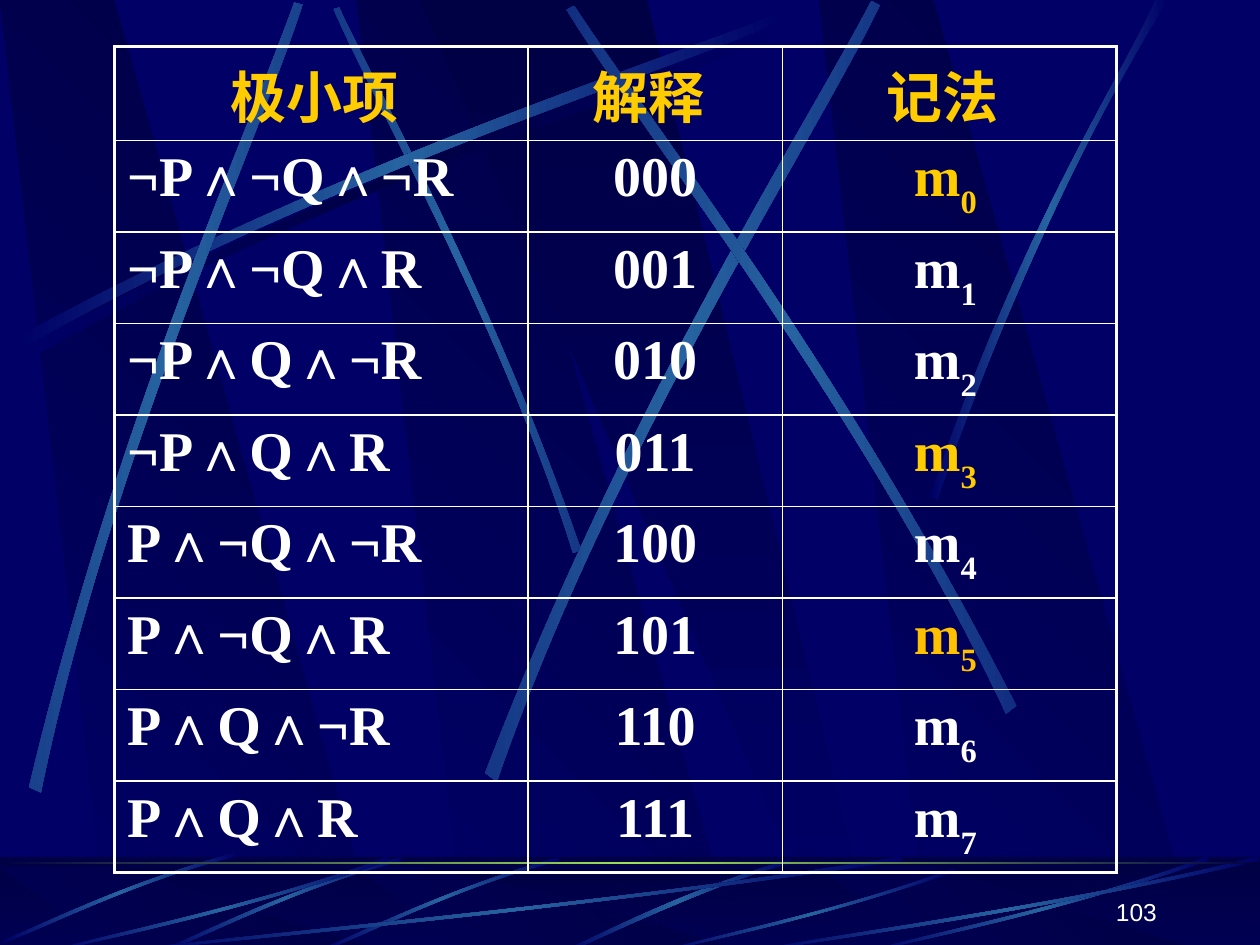
from lxml import etree
from pptx import Presentation
from pptx import util as u
from pptx.dml.color import RGBColor
from pptx.enum import shapes, text
from pptx.oxml import ns

COLORS = {
    "navy": "000066", "night": "000044", "beam": "2663A0", "horizon": "9CE157",
    "white": "FFFFFF", "gold": "FFCC00", "amber": "FFC000",
}
GRID = 2.54
CJK = "Noto Sans CJK SC"
SERIF = "Times New Roman"

BAND = [(28.5, 100), (100, 100), (30, 0), (0, 0)]
LIT_BAND = [(0, 0), (90, 100), (100, 100), (50, 0)]
ARC = [(0, 96.3), (43.4, 43.1), (82.9, 15.4), (99.5, 0),
       (100, 2.3), (83.4, 19.1), (38.3, 50), (0.5, 100)]
EDGE_ARC = [(0, 99.2), (40.2, 43.6), (79.4, 16.6), (94.7, 0),
            (100, 0), (51.9, 36.5), (16.4, 81.1), (3.2, 100)]
FLOOR_ARC = [(99.4, 0), (49.4, 37), (16.1, 82.2), (0, 98.6),
             (2.8, 100), (23.3, 76.7), (68.3, 24.7), (100, 4.1)]
RAY = [(100, 4), (56.6, 57.3), (17.2, 85.3), (0.5, 100),
       (0, 98.7), (16.5, 81.3), (61.6, 50.7), (99.5, 0)]

MINTERMS = ["¬P∧¬Q∧¬R", "¬P∧¬Q∧R", "¬P∧Q∧¬R", "¬P∧Q∧R",
            "P∧¬Q∧¬R", "P∧¬Q∧R", "P∧Q∧¬R", "P∧Q∧R"]
NOTATION_COLORS = {0: "gold", 3: "gold", 5: "amber"}


def size(units):
    return u.Cm(units * GRID)


def rgb(name):
    return RGBColor.from_string(COLORS[name])


def element(parent, tag, **attributes):
    return etree.SubElement(parent, ns.qn(tag), **attributes)


def paint_gradient(shape, names, angle):
    shape.shadow.inherit = False
    shape.line.fill.background()
    shape.fill.gradient()
    gradient = shape.element.spPr.find(ns.qn("a:gradFill"))
    gradient.set("rotWithShape", "0")
    for child in list(gradient):
        gradient.remove(child)
    stops = element(gradient, "a:gsLst")
    for index, name in enumerate(names):
        position = 100000 * index // (len(names) - 1)
        stop = element(stops, "a:gs", pos=str(position))
        element(stop, "a:srgbClr", val=COLORS[name])
    element(gradient, "a:lin", ang=str(angle * 60000), scaled="0")


def draw_outline(slide, points, box, names, angle):
    left, top, width, height = box
    corners = [(size(left + x * width / 100), size(top + y * height / 100))
               for x, y in points]
    builder = slide.shapes.build_freeform(*corners[0], scale=1.0)
    builder.add_line_segments(corners[1:], close=True)
    outline = builder.convert_to_shape()
    paint_gradient(outline, names, angle)
    return outline


def curve_sides(outline):
    lines = list(outline.element.iter(ns.qn("a:lnTo")))
    for side in (lines[:3], lines[4:7]):
        curve = etree.Element(ns.qn("a:cubicBezTo"))
        side[0].addprevious(curve)
        for line in side:
            curve.append(line[0])
            line.getparent().remove(line)


def draw_streak(slide, curve, box, rotation=0, mirrored=False, middle="beam"):
    points = [(100 - x, y) for x, y in curve] if mirrored else curve
    streak = draw_outline(slide, points, box, ["navy", middle, "navy"], 0)
    curve_sides(streak)
    streak.rotation = rotation


def draw_bands(slide, box):
    left, top, _, height = box
    for offset in (2.83, 0, 6.5):
        draw_outline(slide, BAND, (left + offset, top, 3.02, height), ["navy", "night"], 315)
    draw_outline(slide, LIT_BAND, (left + 3.33, top, 3.61, height), ["night", "navy"], 90)


def draw_sky(slide, box):
    draw_bands(slide, box)
    left, top = box[:2]
    streaks = [
        (ARC, (0.2, 0.18, 6.08, 2.67), 0, False, "night"),
        (ARC, (1.41, 1.35, 4.42, 1.75), 45, True, "beam"),
        (ARC, (0.14, 0.1, 6.08, 2.67), 0, False, "beam"),
        (ARC, (-1.71, 1.82, 6.08, 2.67), 311.7, False, "beam"),
        (ARC, (2.31, 1.6, 6.24, 3.01), 321.6, False, "beam"),
        (ARC, (3.23, 1.52, 6.08, 2.67), 34.7, True, "beam"),
        (EDGE_ARC, (7.38, 0, 1.89, 3.97), 0, False, "beam"),
    ]
    for curve, (x, y, width, height), rotation, mirrored, middle in streaks:
        draw_streak(slide, curve, (left + x, top + y, width, height),
                    rotation, mirrored, middle)


def add_bar(slide, box):
    bar = slide.shapes.add_shape(shapes.MSO_SHAPE.RECTANGLE, *map(size, box))
    bar.shadow.inherit = False
    bar.line.fill.background()
    return bar


def draw_floor(slide, box):
    left, top, width, height = box
    paint_gradient(add_bar(slide, box), ["night", "navy"], 90)
    draw_bands(slide, (left, top + 0.08, width, 0.66))
    veil = add_bar(slide, box)
    veil.fill.solid()
    veil.fill.fore_color.rgb = rgb("night")
    veil_color = veil.element.spPr.find(ns.qn("a:solidFill"))[0]
    element(veil_color, "a:alpha", val="50000")

    draw_streak(slide, FLOOR_ARC, (left + 4.48, top + 0.02, 1.8, 0.73))
    for x, y, arc_width in ((2.58, -0.04, 1.84), (1.33, -0.04, 1.84), (0.05, -0.09, 1.8)):
        draw_streak(slide, ARC, (left + x, top + y, arc_width, 0.84), 315, True)
    for x, y, ray_width in ((1, 0, 6.17), (0.42, 0, 2.67), (5.27, 0.09, 2.31),
                            (6.92, 0, 2.67), (6, 0, 4)):
        draw_streak(slide, RAY, (left + x, top + y, ray_width, height - y))
    horizon = add_bar(slide, (left, top + 0.04, width, 0.02))
    paint_gradient(horizon, ["night", "horizon", "night"], 0)


def draw_borders(cell, outer):
    properties = cell._tc.get_or_add_tcPr()
    for index, side in enumerate("LRTB"):
        weight = u.Pt(2.25 if side in outer else 1)
        border = etree.Element(ns.qn(f"a:ln{side}"), w=str(weight))
        element(element(border, "a:solidFill"), "a:srgbClr", val=COLORS["white"])
        properties.insert(index, border)


def write_cell(cell, pieces, color, latin, align):
    paragraph = cell.text_frame.paragraphs[0]
    paragraph.alignment = align
    for index, piece in enumerate(pieces):
        run = paragraph.add_run()
        run.text = piece
        run.font.size = u.Pt(32)
        run.font.bold = True
        run.font.color.rgb = rgb(color)
        run.font.name = latin
        properties = run.font._element
        element(properties, "a:ea", typeface=CJK)
        if index:
            properties.set("baseline", "-30000")


def draw_minterm_table(slide, box):
    rows = [[(["极小项 "], "gold"), (["解释 "], "gold"), (["记法 "], "gold")]]
    for number, minterm in enumerate(MINTERMS):
        rows.append([([minterm], "white"), ([f"{number:03b}"], "white"),
                     (["m", f"{number} "], NOTATION_COLORS.get(number, "white"))])
    table = slide.shapes.add_table(len(rows), 3, *map(size, box)).table
    table.first_row = table.horz_banding = False
    for column, width in zip(table.columns, (3.28, 2.02, 2.65)):
        column.width = size(width)
    for r, row in enumerate(rows):
        table.rows[r].height = size(box[3] / len(rows))
        for c, (pieces, color) in enumerate(row):
            cell = table.cell(r, c)
            cell.fill.background()
            outer = ("T" * (r == 0) + "B" * (r == len(rows) - 1)
                     + "L" * (c == 0) + "R" * (c == 2))
            draw_borders(cell, outer)
            align = text.PP_ALIGN.LEFT if r and c == 0 else text.PP_ALIGN.CENTER
            write_cell(cell, pieces, color, SERIF if r else CJK, align)


def draw_page_number(slide, box):
    frame = slide.shapes.add_textbox(*map(size, box)).text_frame
    frame.word_wrap = True
    frame.vertical_anchor = text.MSO_ANCHOR.BOTTOM
    frame.text = "103"
    paragraph = frame.paragraphs[0]
    paragraph.alignment = text.PP_ALIGN.RIGHT
    number_font = paragraph.runs[0].font
    number_font.name = "Arial"
    number_font.size = u.Pt(14)
    number_font.color.rgb = rgb("white")


def main():
    deck = Presentation()
    deck.slide_width, deck.slide_height = u.Cm(25.4), u.Cm(19.05)
    slide = deck.slides.add_slide(deck.slide_layouts[6])
    slide.background.fill.solid()
    slide.background.fill.fore_color.rgb = rgb("navy")
    draw_sky(slide, (0, 0, 10, 7.52))
    draw_floor(slide, (0, 6.8, 10, 0.75))
    draw_minterm_table(slide, (0.91, 0.37, 7.95, 6.54))
    draw_page_number(slide, (7.2, 6.9, 2.08, 0.5))
    deck.save("out.pptx")


if __name__ == "__main__":
    main()
